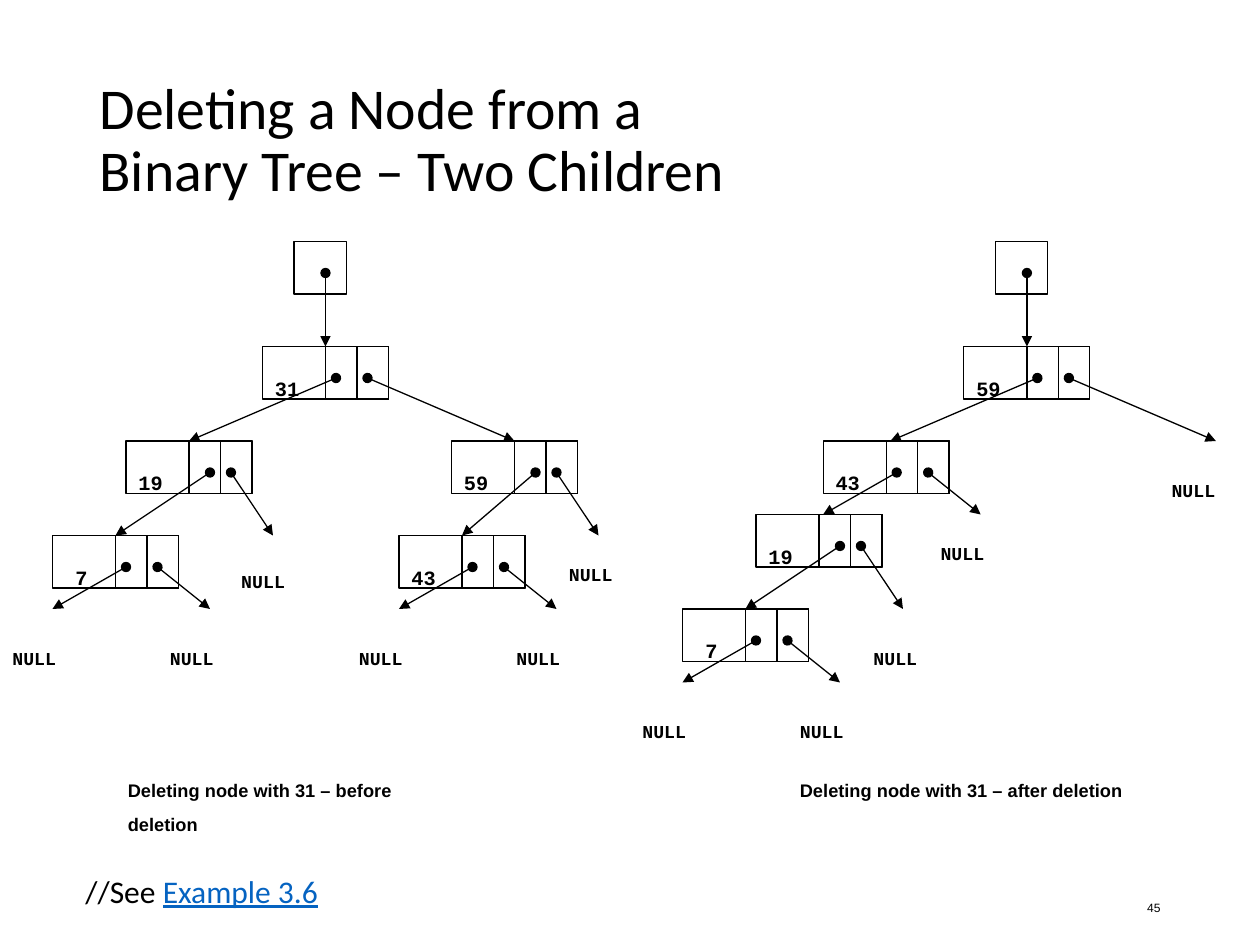
from lxml.etree import SubElement
from pptx import Presentation
from pptx.dml.color import RGBColor
from pptx.enum.shapes import MSO_CONNECTOR, MSO_SHAPE
from pptx.enum.text import MSO_ANCHOR, MSO_AUTO_SIZE, PP_ALIGN
from pptx.oxml.ns import qn
from pptx.util import Inches, Pt

COLORS = {"ink": "000000", "link": "0563C1"}
TITLE_LINES = ["Deleting a Node from a ", "Binary Tree – Two Children"]
CELLS_PER_INCH = 12
NODE_WIDTH, NODE_HEIGHT, POINTER_WIDTH = 12, 5, 3

# Pointer shapes: column where the left pointer starts, left tip, right tip (from the node's corner)
TOP = (7, (-7, 9), (24, 9))
LEAF = (7, (0, 7), (15, 7))
LEFT_INNER = (8, (-1, 9), (14, 9))
RIGHT_INNER = (8, (1, 9), (14, 9))
LEAF_NULLS = [(-5, 8), (10, 8)]

# Label, column, row, pointers, NULL labels (from the node's corner); first node is the top
BEFORE = [
    ("31", 25, 33, (7, (-7, 9), (24, 9)), []),
    ("59", 43, 42, RIGHT_INNER, [(10, 9)]),
    ("19", 12, 42, LEFT_INNER, [(9.8, 9.7)]),
    ("7", 5, 51, LEAF, LEAF_NULLS),
    ("43", 38, 51, LEAF, LEAF_NULLS),
]
AFTER = [
    ("59", 91.8, 33, TOP, [(18.6, 10)]),
    ("43", 78.4, 42, LEAF, [(10, 7)]),
    ("19", 72, 49, LEFT_INNER, [(10, 10)]),
    ("7", 65, 58, LEAF, LEAF_NULLS),
]
CAPTIONS = [
    (11, "Deleting node with 31 – before deletion"),
    (75, "Deleting node with 31 – after deletion"),
]


def grid(value):
    return Inches(value / CELLS_PER_INCH)


def add_run(paragraph, text, size, font, color="ink", bold=False, lowered=False):
    """Add a formatted run; lowered sets it as subscript."""
    run = paragraph.add_run()
    run.text = text
    run.font.size = Pt(size)
    run.font.name = font
    run.font.bold = bold
    run.font.color.rgb = RGBColor.from_string(COLORS[color])
    if lowered:
        run._r.get_or_add_rPr().set("baseline", "-25000")
    return run


def add_text_box(slide, left, top, width, height, wrap=True):
    """Add an empty text box, in inches, and return its frame."""
    frame = slide.shapes.add_textbox(
        Inches(left), Inches(top), Inches(width), Inches(height)).text_frame
    frame.word_wrap = wrap
    frame.auto_size = MSO_AUTO_SIZE.SHAPE_TO_FIT_TEXT
    return frame


def add_label(slide, column, row, text, width, height, size):
    frame = add_text_box(slide, column / CELLS_PER_INCH, row / CELLS_PER_INCH,
                         width, height, wrap=False)
    paragraph = frame.paragraphs[0]
    paragraph.space_before = Pt(size * 0.2)
    add_run(paragraph, text, size, "Courier New", bold=True, lowered=True)


def add_box(slide, column, row, width):
    box = slide.shapes.add_shape(MSO_SHAPE.RECTANGLE, grid(column), grid(row),
                                 grid(width), grid(NODE_HEIGHT))
    box.shadow.inherit = False
    box.fill.background()
    box.line.color.rgb = RGBColor.from_string(COLORS["ink"])
    box.line.width = Pt(0.75)


def add_pointer(slide, start, tip):
    pointer = slide.shapes.add_connector(
        MSO_CONNECTOR.STRAIGHT, *(grid(value) for value in (*start, *tip)))
    pointer.line.color.rgb = RGBColor.from_string(COLORS["ink"])
    pointer.line.width = Pt(0.75)
    line = pointer.line._get_or_add_ln()
    SubElement(line, qn("a:headEnd"), type="oval")
    SubElement(line, qn("a:tailEnd"), type="triangle")
    SubElement(pointer._element.spPr, qn("a:effectLst"))


def add_node(slide, label, column, row, pointers, nulls):
    add_box(slide, column, row, NODE_WIDTH)
    for cell in (1, 2):
        add_box(slide, column + NODE_WIDTH - cell * POINTER_WIDTH, row, POINTER_WIDTH)
    left_start, *tips = pointers
    for start, (across, down) in zip((left_start, 10), tips):
        add_pointer(slide, (column + start, row + 3), (column + across, row + down))
    if len(label) == 1:
        add_label(slide, column + 1, row, label, 0.37, 0.43, 20)
    else:
        add_label(slide, column, row, label, 0.53, 0.43, 20)
    for across, down in nulls:
        add_label(slide, column + across, row + down, "NULL", 0.8, 0.4, 18)


def add_tree(slide, nodes):
    _, column, row, *_ = nodes[0]
    add_box(slide, column + 3, row - 10, NODE_HEIGHT)
    add_pointer(slide, (column + 6, row - 7), (column + 6, row))
    for node in nodes:
        add_node(slide, *node)


def add_title(slide):
    title = slide.shapes.title
    title.left, title.top = Inches(0.69), Inches(0.4)
    title.width, title.height = Inches(8.62), Inches(1.45)
    title.text_frame.vertical_anchor = MSO_ANCHOR.MIDDLE
    title.text_frame.auto_size = MSO_AUTO_SIZE.NONE
    paragraph = title.text_frame.paragraphs[0]
    paragraph.alignment = PP_ALIGN.LEFT
    paragraph.line_spacing = 0.9
    add_run(paragraph, TITLE_LINES[0], 33, "Calibri")
    paragraph.add_line_break()
    add_run(paragraph, TITLE_LINES[1], 33, "Calibri")


def main():
    presentation = Presentation()
    presentation.slide_width, presentation.slide_height = Inches(10), Inches(7.5)
    slide = presentation.slides.add_slide(presentation.slide_layouts[5])
    add_title(slide)
    for nodes in (BEFORE, AFTER):
        add_tree(slide, nodes)

    for column, text in CAPTIONS:
        paragraph = add_text_box(slide, column / CELLS_PER_INCH, 6, 2.77, 0.58).paragraphs[0]
        paragraph.line_spacing = 0.8
        paragraph.space_before = Pt(3.6)
        add_run(paragraph, text, 18, "Arial", bold=True, lowered=True)

    reference = add_text_box(slide, 0.58, 6.87, 2.25, 0.4).paragraphs[0]
    add_run(reference, "//See ", 18, "Calibri")
    add_run(reference, "Example 3.6", 18, "Calibri", "link").font.underline = True

    number = add_text_box(slide, 7.06, 6.95, 2.25, 0.4)
    number.auto_size = MSO_AUTO_SIZE.NONE
    number.vertical_anchor = MSO_ANCHOR.MIDDLE
    number.paragraphs[0].alignment = PP_ALIGN.RIGHT
    add_run(number.paragraphs[0], "45", 12, "Arial", lowered=True)

    presentation.save("out.pptx")


if __name__ == "__main__":
    main()
